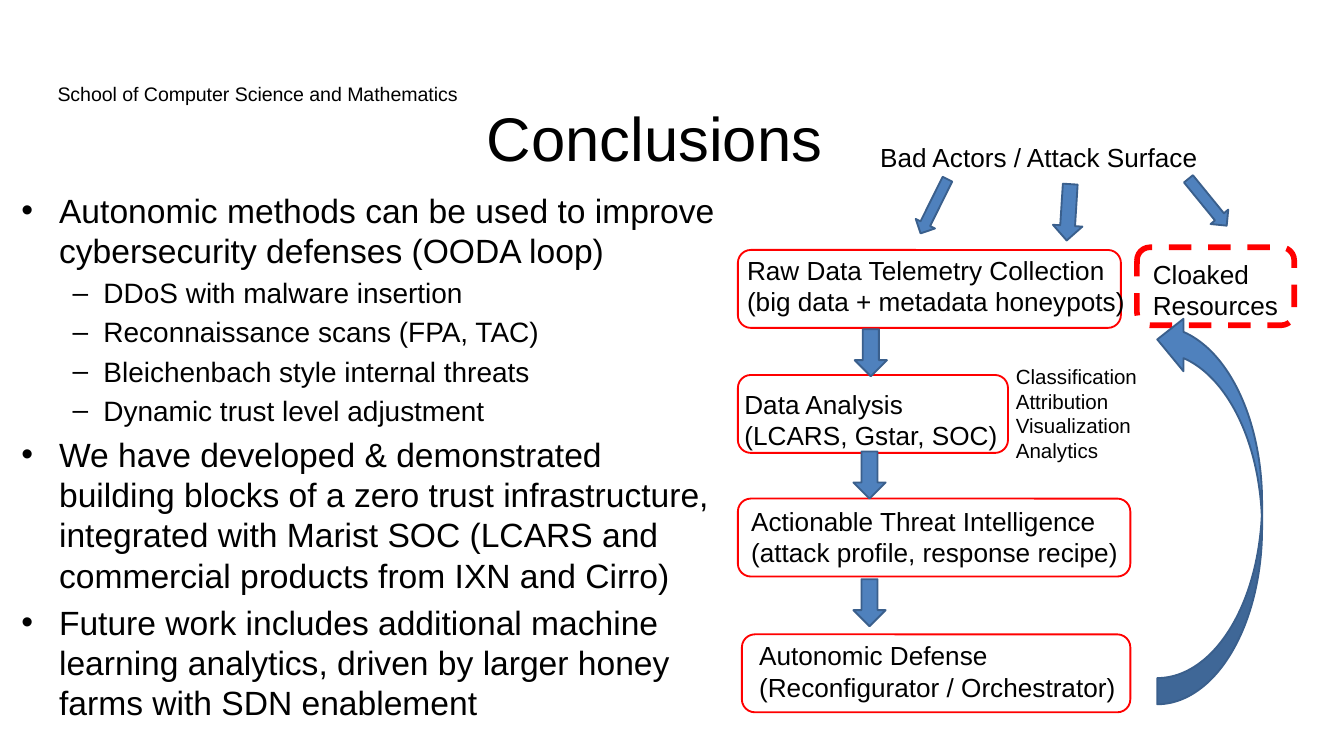
from pptx import Presentation
from pptx import util as u
from pptx.dml.color import RGBColor
from pptx.enum import dml, shapes, text

FONT = "Arial"
BLACK, RED, BLUE, NAVY = "000000", "FF0000", "4F81BD", "3A5F8C"
SHAPE = shapes.MSO_SHAPE

POINTS = [
    (0, "Autonomic methods can be used to improve cybersecurity defenses (OODA loop)"),
    (1, "DDoS with malware insertion"),
    (1, "Reconnaissance scans (FPA, TAC)"),
    (1, "Bleichenbach style internal threats"),
    (1, "Dynamic trust level adjustment"),
    (0, "We have developed & demonstrated building blocks of a zero trust "
        "infrastructure, integrated with Marist SOC (LCARS and commercial "
        "products from IXN and Cirro)"),
    (0, "Future work includes additional machine learning analytics, driven by "
        "larger honey farms with SDN enablement"),
]
LEVELS = {0: (18, 0.28, -0.28), 1: (15, 0.61, -0.23)}

STAGES = [
    ((0.05, 0.86, 2.85), (0.02, 0.84, 3.02),
     "Raw Data Telemetry Collection\v(big data + metadata honeypots)"),
    ((0.05, 1.79, 2.01), (0, 1.84, 2.1),
     "Data Analysis\n(LCARS, Gstar, SOC)"),
    ((0.05, 2.71, 2.92), (0.05, 2.71, 2.99),
     "Actionable Threat Intelligence\v(attack profile, response recipe)"),
    ((0.08, 3.72, 2.89), (0.11, 3.71, 2.86),
     "Autonomic Defense\v(Reconfigurator / Orchestrator)"),
]
STAGE_ARROWS = [(0.92, 1.45), (0.91, 2.36), (0.91, 3.31)]
ATTACK_ARROWS = [
    (1.43, 0.31, 0.16, 0.45, 26.4),
    (3.46, 0.28, 0.17, 0.45, 320.8),
    (2.4, 0.37, 0.22, 0.42, 3.6),
]


def color(value):
    return RGBColor.from_string(value)


def place(part, box):
    part.left, part.top, part.width, part.height = map(u.Inches, box)


def style(paragraph, size):
    for run in paragraph.runs:
        run.font.name = FONT
        run.font.size = u.Pt(size)
        run.font.color.rgb = color(BLACK)


def add_label(slide, box, words, size=14, wrap=False):
    label = slide.shapes.add_textbox(*map(u.Inches, box))
    frame = label.text_frame
    frame.text = words
    frame.word_wrap = wrap
    frame.auto_size = text.MSO_AUTO_SIZE.SHAPE_TO_FIT_TEXT
    for paragraph in frame.paragraphs:
        style(paragraph, size)


def add_outline(slide, box, width=1, dash=None):
    outline = slide.shapes.add_shape(SHAPE.ROUNDED_RECTANGLE, *map(u.Inches, box))
    outline.shadow.inherit = False
    outline.fill.background()
    outline.line.color.rgb = color(RED)
    outline.line.width = u.Pt(width)
    outline.line.dash_style = dash


def add_arrow(slide, box, rotation=0, kind=SHAPE.DOWN_ARROW):
    arrow = slide.shapes.add_shape(kind, *map(u.Inches, box))
    arrow.shadow.inherit = False
    arrow.fill.solid()
    arrow.fill.fore_color.rgb = color(BLUE)
    arrow.line.color.rgb = color(NAVY)
    arrow.line.width = u.Pt(1)
    arrow.rotation = rotation
    return arrow


def fill_title(slide, box):
    title = slide.shapes.title
    place(title, box)
    title.text_frame.text = "Conclusions"
    title.text_frame.vertical_anchor = text.MSO_ANCHOR.TOP
    heading = title.text_frame.paragraphs[0]
    heading.alignment = text.PP_ALIGN.CENTER
    style(heading, 33)


def fill_points(slide, box):
    body = slide.placeholders[1]
    place(body, box)
    frame = body.text_frame
    frame.auto_size = text.MSO_AUTO_SIZE.NONE
    frame.text = "\n".join(words for _, words in POINTS)
    for paragraph, (level, _) in zip(frame.paragraphs, POINTS):
        size, margin, indent = LEVELS[level]
        paragraph.level = level
        properties = paragraph._p.get_or_add_pPr()
        properties.set("marL", str(u.Inches(margin)))
        properties.set("indent", str(u.Inches(indent)))
        style(paragraph, size)
    frame.paragraphs[0].space_before = u.Pt(0)


def draw_defense_loop(slide, left, top):
    def at(x, y, *rest):
        return (left + x, top + y, *rest)

    for (x, y, width), (label_x, label_y, label_width), words in STAGES:
        add_outline(slide, at(x, y, width, 0.58))
        add_label(slide, at(label_x, label_y, label_width, 0.57), words)

    add_outline(slide, at(3.02, 0.84, 1.17, 0.58), 3, dml.MSO_LINE.DASH)
    add_label(slide, at(3.04, 0.87, 1.14, 0.57), "Cloaked \vResources")
    add_label(slide, at(1.01, 0, 2.58, 0.34), "Bad Actors / Attack Surface")
    add_label(slide, at(2.02, 1.66, 1.11, 0.84),
              "Classification\vAttribution\vVisualization\vAnalytics", 11)

    for x, y in STAGE_ARROWS:
        add_arrow(slide, at(x, y, 0.24, 0.35))
    for x, y, width, height, rotation in ATTACK_ARROWS:
        add_arrow(slide, at(x, y, width, height), rotation)
    feedback = add_arrow(slide, at(3.17, 1.33, 0.78, 2.91), 180, SHAPE.CURVED_LEFT_ARROW)
    feedback._element.spPr.get_or_add_xfrm().set("flipH", "1")


def main():
    deck = Presentation()
    deck.slide_width = u.Inches(10)
    deck.slide_height = deck.slide_width * 9 // 16
    slide = deck.slides.add_slide(deck.slide_layouts[1])
    add_label(slide, (0.33, 0.56, 4.7, 0.28),
              "School of Computer Science and Mathematics", 10.5, True)
    fill_points(slide, (0.06, 1.36, 5.43, 3.46))
    fill_title(slide, (0.37, 0.69, 9, 0.56))
    draw_defense_loop(slide, 5.44, 1)
    deck.save("out.pptx")


if __name__ == "__main__":
    main()
